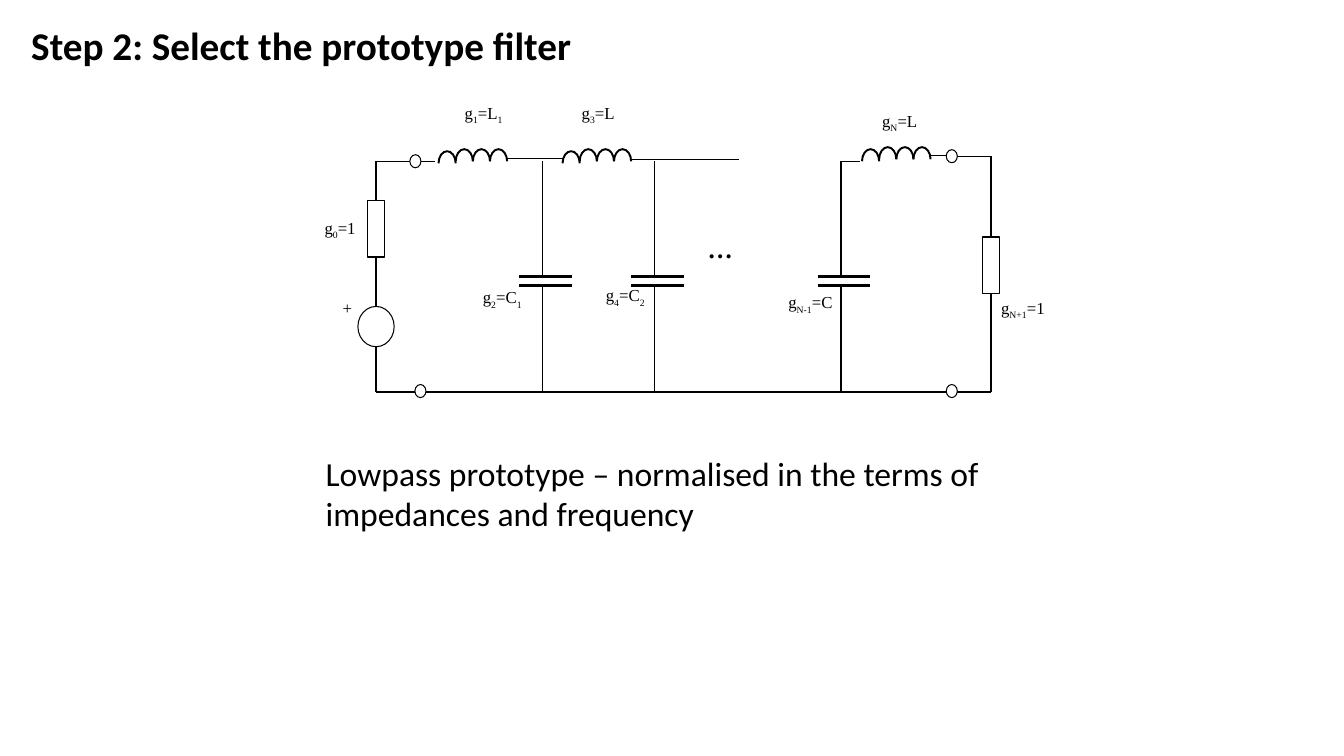
import math

import lxml.etree
import pptx
import pptx.dml.color
import pptx.enum.shapes
import pptx.enum.text
import pptx.oxml.ns
import pptx.util

Inches = pptx.util.Inches
Pt = pptx.util.Pt
SHAPE = pptx.enum.shapes.MSO_SHAPE
COLORS = {"ink": "000000", "paper": "FFFFFF"}
SUBSCRIPT = "-25000"


def rgb(name):
    return pptx.dml.color.RGBColor.from_string(COLORS[name])


def add_child(parent, tag):
    lxml.etree.SubElement(parent, pptx.oxml.ns.qn(tag))


def style_run(r, size, font, bold=False):
    r.font.size = Pt(size)
    r.font.name = font
    r.font.bold = bold
    r.font.color.rgb = rgb("ink")


def style_line(sp, weight):
    sp.line.color.rgb = rgb("ink")
    sp.line.width = Pt(weight)


def outline(sp, weight, fill=None):
    sp.shadow.inherit = False
    if fill:
        sp.fill.solid()
        sp.fill.fore_color.rgb = rgb(fill)
    else:
        sp.fill.background()
    style_line(sp, weight)
    return sp


def wire(g, x1, y1, x2, y2, weight=1, begin=None):
    c = g.shapes.add_connector(
        pptx.enum.shapes.MSO_CONNECTOR.STRAIGHT,
        Inches(x1), Inches(y1), Inches(x2), Inches(y2))
    style_line(c, weight)
    add_child(c._element.spPr, "a:effectLst")
    if begin:
        c.begin_connect(*begin)


def node(g, shape, cx, cy, w, h, weight, fill=None):
    sp = g.shapes.add_shape(
        shape, Inches(cx - w / 2), Inches(cy - h / 2), Inches(w), Inches(h))
    return outline(sp, weight, fill)


def resistor(g, cx, cy, top, bottom):
    half = 0.28
    sp = node(g, SHAPE.RECTANGLE, cx, cy, 0.17, 2 * half, 1)
    wire(g, cx, cy - half, cx, top, begin=(sp, 0))
    wire(g, cx, cy + half, cx, bottom, begin=(sp, 2))


def capacitor(g, x, top, bottom):
    plates = top + 1.14, top + 1.23
    wire(g, x, top, x, plates[0])
    for y in plates:
        wire(g, x - 0.23, y, x + 0.29, y, 2.25)
    wire(g, x, plates[1] + 0.02, x, bottom)


def coil(g, left, top):
    turn, height, steps = 0.17, 0.12, 8
    for i in range(4):
        x = left + i * turn
        y = top + (0.02 if i == 0 else 0)
        points = []
        for k in range(steps + 1):
            a = math.pi * k / steps
            points.append((Inches(x + turn / 2 * (1 + math.cos(a))),
                           Inches(y + height * (1 - math.sin(a)))))
        fb = g.shapes.build_freeform(*points[0])
        fb.add_line_segments(points[1:], close=False)
        outline(fb.convert_to_shape(), 1.38)


def label(g, left, top, parts, width=0.69, size=12, bold=False):
    sp = g.shapes.add_textbox(
        Inches(left), Inches(top), Inches(width), Inches(0.44))
    tf = sp.text_frame
    tf.word_wrap = True
    for i, part in enumerate(parts):
        r = tf.paragraphs[0].add_run()
        r.text = part
        style_run(r, size, "Times New Roman", bold)
        if i % 2:
            r.font._element.set("baseline", SUBSCRIPT)


def ladder_circuit(s, x, y):
    g = s.shapes.add_group_shape()
    source_x, load_x = x + 0.61, x + 6.71
    rail, ground = y + 0.63, y + 2.92
    load_rail = rail - 0.05
    source_y, radius = y + 2.27, 0.2

    resistor(g, source_x, y + 1.3, rail, source_y - radius)
    node(g, SHAPE.OVAL, source_x, source_y, 0.36, 2 * radius, 0.75)
    wire(g, source_x, source_y + radius, source_x, ground)
    wire(g, source_x, ground, load_x, ground)
    wire(g, source_x, rail, x + 1.19, rail)
    resistor(g, load_x, y + 1.66, load_rail, ground)
    wire(g, load_x, load_rail, x + 6.37, load_rail)

    for dx in (2.26, 3.37, 5.22):
        capacitor(g, x + dx, rail, ground)
    for dx, dy in ((1.23, 0.51), (2.46, 0.51), (5.43, 0.49)):
        coil(g, x + dx, y + dy)
    for dx1, dx2, dy in ((1.91, 2.46, 0.6), (3.14, 4.21, 0.61),
                         (5.22, 5.41, 0.63), (6.09, 6.27, 0.57)):
        wire(g, x + dx1, y + dy, x + dx2, y + dy, 0.75)
    for dx, cy in ((1.0, rail), (6.32, load_rail),
                   (6.32, ground - 0.01), (1.05, ground - 0.01)):
        node(g, SHAPE.OVAL, x + dx, cy, 0.11, 0.13, 0.75, "paper")

    for dx, dy, parts in (
            (0, 1.14, ("g", "0", "=1")),
            (0.18, 1.93, ("+",)),
            (1.39, 0, ("g", "1", "=L", "1")),
            (1.57, 1.83, ("g", "2", "=C", "1")),
            (2.55, 0, ("g", "3", "=L")),
            (2.79, 1.81, ("g", "4", "=C", "2")),
            (5.53, 0.08, ("g", "N", "=L")),
            (6.71, 1.93, ("g", "N+1", "=1"))):
        label(g, x + dx, y + dy, parts)
    label(g, x + 4.6, y + 1.88, ("g", "N-1", "=C"), width=1)
    label(g, x + 3.8, y + 1.3, ("…",), width=0.98, size=18, bold=True)


def placeholder_text(sp, box, text, size, bold=False):
    sp.left, sp.top, sp.width, sp.height = (Inches(v) for v in box)
    tf = sp.text_frame
    tf.text = text
    tf.word_wrap = True
    tf.auto_size = pptx.enum.text.MSO_AUTO_SIZE.NONE
    tf.vertical_anchor = pptx.enum.text.MSO_ANCHOR.TOP
    p = tf.paragraphs[0]
    p.alignment = pptx.enum.text.PP_ALIGN.LEFT
    p.space_before = Pt(0)
    style_run(p.runs[0], size, "Calibri", bold)
    return p


def heading(s, box):
    placeholder_text(s.shapes.title, box,
                     "Step 2: Select the prototype filter", 28, True)


def caption(s, box):
    p = placeholder_text(
        s.placeholders[1], box,
        "Lowpass prototype – normalised in the terms of "
        "impedances and frequency", 24)
    pPr = p._element.get_or_add_pPr()
    pPr.set("marL", "0")
    pPr.set("indent", "0")
    add_child(pPr, "a:buNone")


def main():
    prs = pptx.Presentation()
    prs.slide_width, prs.slide_height = Inches(13.33), Inches(7.5)
    s = prs.slides.add_slide(prs.slide_layouts[1])
    ladder_circuit(s, 3.12, 0.97)
    caption(s, (3.13, 4.44, 7.91, 0.91))
    heading(s, (0.21, 0.16, 9.29, 0.57))
    prs.save("out.pptx")


if __name__ == "__main__":
    main()
